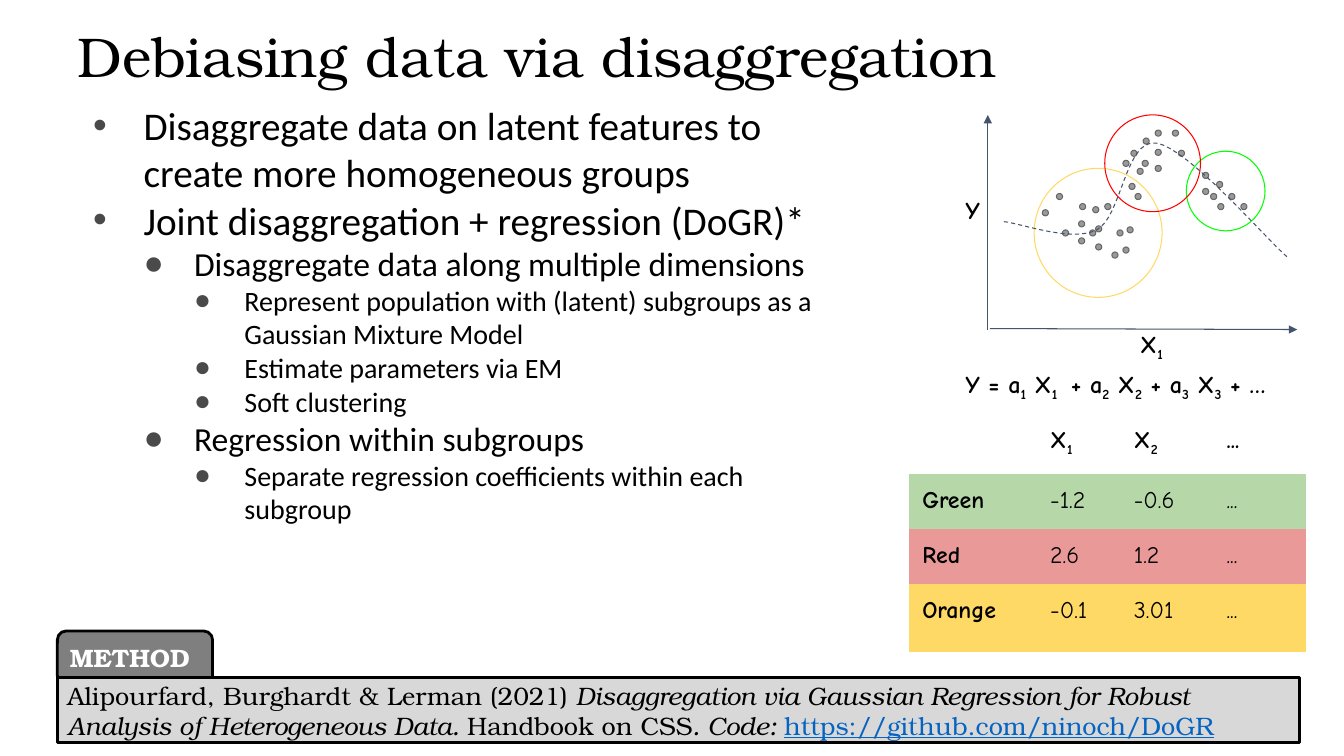
from lxml import etree
from pptx import Presentation
from pptx.dml.color import RGBColor
from pptx.enum.dml import MSO_LINE
from pptx.enum.shapes import MSO_CONNECTOR, MSO_SHAPE
from pptx.enum.text import MSO_ANCHOR, PP_ALIGN
from pptx.oxml.ns import qn
from pptx.util import Pt

OVAL = MSO_SHAPE.OVAL
DOT = MSO_SHAPE.FLOWCHART_CONNECTOR
RECTANGLE = MSO_SHAPE.RECTANGLE
ROUNDED = MSO_SHAPE.ROUNDED_RECTANGLE
STRAIGHT = MSO_CONNECTOR.STRAIGHT
DASH = MSO_LINE.DASH
MIDDLE, TOP = MSO_ANCHOR.MIDDLE, MSO_ANCHOR.TOP
LEFT = PP_ALIGN.LEFT

BLACK = RGBColor(0x00, 0x00, 0x00)
WHITE = RGBColor(0xFF, 0xFF, 0xFF)
LINK_BLUE = RGBColor(0x05, 0x63, 0xC1)
AXIS_BLUE = RGBColor(0x44, 0x54, 0x6A)
DOT_FILL = RGBColor(0x99, 0x99, 0x99)
DOT_LINE = RGBColor(0x66, 0x66, 0x66)
TAB_GRAY = RGBColor(0x7F, 0x7F, 0x7F)
BAR_GRAY = RGBColor(0xD8, 0xD8, 0xD8)
RING_GREEN = RGBColor(0x00, 0xFF, 0x00)
RING_RED = RGBColor(0xFF, 0x00, 0x00)
ORANGE = RGBColor(0xFF, 0xD9, 0x66)
ROW_GREEN = RGBColor(0xB6, 0xD7, 0xA8)
ROW_RED = RGBColor(0xEA, 0x99, 0x99)

TITLE = {"name": "TeX Gyre Bonum", "size": Pt(40), "color": BLACK}
BODY = {"name": "Calibri", "color": BLACK}
CITATION = {**TITLE, "size": Pt(18)}
METHOD = {**CITATION, "color": WHITE, "bold": True}
MATH = {"name": "Comic Neue", "size": Pt(17.3), "color": BLACK, "bold": True}
TABLE = {**MATH, "size": Pt(17)}


def write_runs(frame, runs, format_values, inset=(7.2, 3.6), anchor=TOP):
    side, edge = map(Pt, inset)
    frame_values = {"margin_left": side, "margin_right": side, "margin_top": edge,
                    "margin_bottom": edge, "vertical_anchor": anchor, "word_wrap": True}
    for name, value in frame_values.items():
        setattr(frame, name, value)
    paragraph = frame.paragraphs[-1]
    paragraph.alignment = LEFT
    for text, changes in runs:
        run = paragraph.add_run()
        run.text = text
        for name, value in {**format_values, **changes}.items():
            if name == "color":
                run.font.color.rgb = value
            elif name == "baseline":
                run.font._element.set("baseline", value)
            else:
                setattr(run.font, name, value)
    return paragraph


def add_outlined(kind, box, line_color, line_width=0.75, fill_color=None):
    shape = slide.shapes.add_shape(kind, *map(Pt, box))
    shape.shadow.inherit = False
    shape.line.color.rgb = line_color
    shape.line.width = Pt(line_width)
    if fill_color is None:
        shape.fill.background()
    else:
        shape.fill.solid()
        shape.fill.fore_color.rgb = fill_color
    return shape


presentation = Presentation()
presentation.slide_width, presentation.slide_height = Pt(960), Pt(540)
slide = presentation.slides.add_slide(presentation.slide_layouts[6])

title = slide.shapes.add_textbox(Pt(48.2), Pt(17.3), Pt(808), Pt(50.4))
paragraph = write_runs(title.text_frame, [("Debiasing data via disaggregation", {})], TITLE, anchor=MIDDLE)
paragraph.line_spacing = 0.9

outline = [
    (0, "Disaggregate data on latent features to create more homogeneous groups"),
    (0, "Joint disaggregation + regression (DoGR)*"),
    (1, "Disaggregate data along multiple dimensions"),
    (2, "Represent population with (latent) subgroups as a Gaussian Mixture Model"),
    (2, "Estimate parameters via EM"),
    (2, "Soft clustering"),
    (1, "Regression within subgroups"),
    (2, "Separate regression coefficients within each subgroup"),
]
body = slide.shapes.add_textbox(Pt(47.5), Pt(69.1), Pt(562.3), Pt(402.5)).text_frame
for index, (level, text) in enumerate(outline):
    if index:
        body.add_paragraph()
    paragraph = write_runs(body, [(text, {"size": Pt(28 - 4 * level)})], BODY)
    paragraph.level = level
    properties = paragraph._p.get_or_add_pPr()
    properties.set("marL", str(Pt(48 + 36 * level)))
    properties.set("indent", str(Pt(-36)))
    bullet_color = etree.SubElement(properties, qn("a:buClr"))
    etree.SubElement(bullet_color, qn("a:srgbClr"), val="4A4A4A")
    etree.SubElement(properties, qn("a:buFont"), typeface="Arial")
    etree.SubElement(properties, qn("a:buChar"), char="●" if level else "•")

clusters = [
    ((847.4, 108, 56.2, 56.9), RING_GREEN),
    ((738.7, 120.2, 91.4, 92.2), ORANGE),
    ((789.1, 82.1, 68.4, 69.1), RING_RED),
]
for box, color in clusters:
    add_outlined(OVAL, box, color)

dots = [
    (825.1, 92.9), (807.8, 107.3), (825.1, 118.1), (859, 123.1), (869.8, 145.4),
    (877.7, 138.2), (810.7, 138.2), (754.6, 138.2), (789.1, 145.4), (758.9, 164.2),
    (797.8, 164.2), (778.3, 164.2), (794.2, 180), (770.4, 169.9), (771.1, 145.4),
    (815.8, 114.5), (886.3, 145.4), (841.7, 107.3), (806.4, 131), (744.5, 149.8),
    (837.4, 92.9), (802.1, 176.4), (782.6, 174.2), (812.2, 120.2), (805, 162),
    (869, 129.6), (782.6, 161.3), (780.5, 147.6), (770.4, 157.7), (859, 134.6),
    (825.1, 106.6), (864.7, 138.2), (802.1, 114.5), (816.5, 98.6),
]
for left, top in dots:
    add_outlined(DOT, (left, top, 4.4, 4.4), DOT_LINE, fill_color=DOT_FILL)

bends = [
    [(717.1, 158.4), (727.9, 159.1), (765.4, 173.5), (783.4, 164.2)],
    [(783.4, 164.2), (801.4, 154.8), (803.5, 99.4), (825.8, 102.2)],
    [(825.8, 102.2), (848.9, 105.8), (903.6, 169.9), (919.4, 183.6)],
]
steps = 16
curve_points = []
for bend in bends:
    for step in range(1, steps + 1):
        t = step / steps
        weights = ((1 - t) ** 3, 3 * t * (1 - t) ** 2, 3 * t * t * (1 - t), t ** 3)
        curve_points.append([Pt(sum(w * p[axis] for w, p in zip(weights, bend))) for axis in (0, 1)])
builder = slide.shapes.build_freeform(*map(Pt, bends[0][0]))
builder.add_line_segments(curve_points, close=False)
curve = builder.convert_to_shape()
curve.shadow.inherit = False
curve.fill.background()
curve.line.color.rgb = AXIS_BLUE
curve.line.width = Pt(0.75)
curve.line.dash_style = DASH

for ends in [(705.6, 235.4, 705.6, 82.1), (707, 234.7, 926.6, 235.4)]:
    axis_line = slide.shapes.add_connector(STRAIGHT, *map(Pt, ends))
    axis_line.line.color.rgb = AXIS_BLUE
    axis_line.line.width = Pt(0.75)
    etree.SubElement(axis_line.line._get_or_add_ln(), qn("a:tailEnd"), type="triangle")
    etree.SubElement(axis_line._element.spPr, qn("a:effectLst"))

subscript = {"baseline": "-25000"}
formulas = [
    ("Y = a|1| X|1 | + a|2| X|2| + a|3| X|3| + …", (680.4, 254.2, 250.6, 45.4)),
    ("X|1", (805, 226.1, 35.3, 45.4)),
    ("Y", (680.4, 130.3, 35.3, 45.4)),
]
for formula, box in formulas:
    runs = [(part, subscript if i % 2 else {}) for i, part in enumerate(formula.split("|"))]
    label = slide.shapes.add_textbox(*map(Pt, box))
    write_runs(label.text_frame, runs, MATH, (9.4, 9.4))

rows = [
    (42.5, None, ["", "X|1", "X|2", "..."]),
    (37.4, ROW_GREEN, ["Green", "-1.2", "-0.6", "..."]),
    (37.4, ROW_RED, ["Red", "2.6", "1.2", "..."]),
    (49, ORANGE, ["Orange", "-0.1", "3.01", "..."]),
]
column_widths = [91.4, 59.8, 66.2, 66.2]
table = slide.shapes.add_table(4, 4, Pt(649.4), Pt(295.9), Pt(283.6), Pt(166.3)).table
table.first_row = table.horz_banding = False
table._tbl.tblPr.find(qn("a:tableStyleId")).text = "{2D5ABB26-0587-4C30-8999-92F81FD0307C}"
for column, width in zip(table.columns, column_widths):
    column.width = Pt(width)
for row_index, (height, color, texts) in enumerate(rows):
    table.rows[row_index].height = Pt(height)
    for column_index, text in enumerate(texts):
        cell = table.cell(row_index, column_index)
        if color is None:
            cell.fill.background()
        else:
            cell.fill.solid()
            cell.fill.fore_color.rgb = color
        bold = row_index == 0 or column_index == 0
        runs = [(part, subscript if i % 2 else {}) for i, part in enumerate(text.split("|")) if part]
        write_runs(cell.text_frame, runs, {**TABLE, "bold": bold}, (9.4, 9.4))
        cell.margin_left = cell.margin_right = cell.margin_top = cell.margin_bottom = Pt(9.4)

method_tab = add_outlined(ROUNDED, (41, 450.7, 110.9, 38.2), BLACK, 2, TAB_GRAY)
write_runs(method_tab.text_frame, [("METHOD", {})], METHOD, anchor=MIDDLE)
citation_bar = add_outlined(RECTANGLE, (41, 483.8, 887, 46.8), BLACK, 2, BAR_GRAY)
citation = [
    ("Alipourfard, Burghardt & Lerman (2021) ", {}),
    ("Disaggregation via Gaussian Regression for Robust Analysis of Heterogeneous Data. ", {"italic": True}),
    ("Handbook on CSS", {}),
    (". Code: ", {"italic": True}),
    ("https://github.com/ninoch/DoGR", {"color": LINK_BLUE, "underline": True}),
]
write_runs(citation_bar.text_frame, citation, CITATION, anchor=MIDDLE)

presentation.save("out.pptx")
